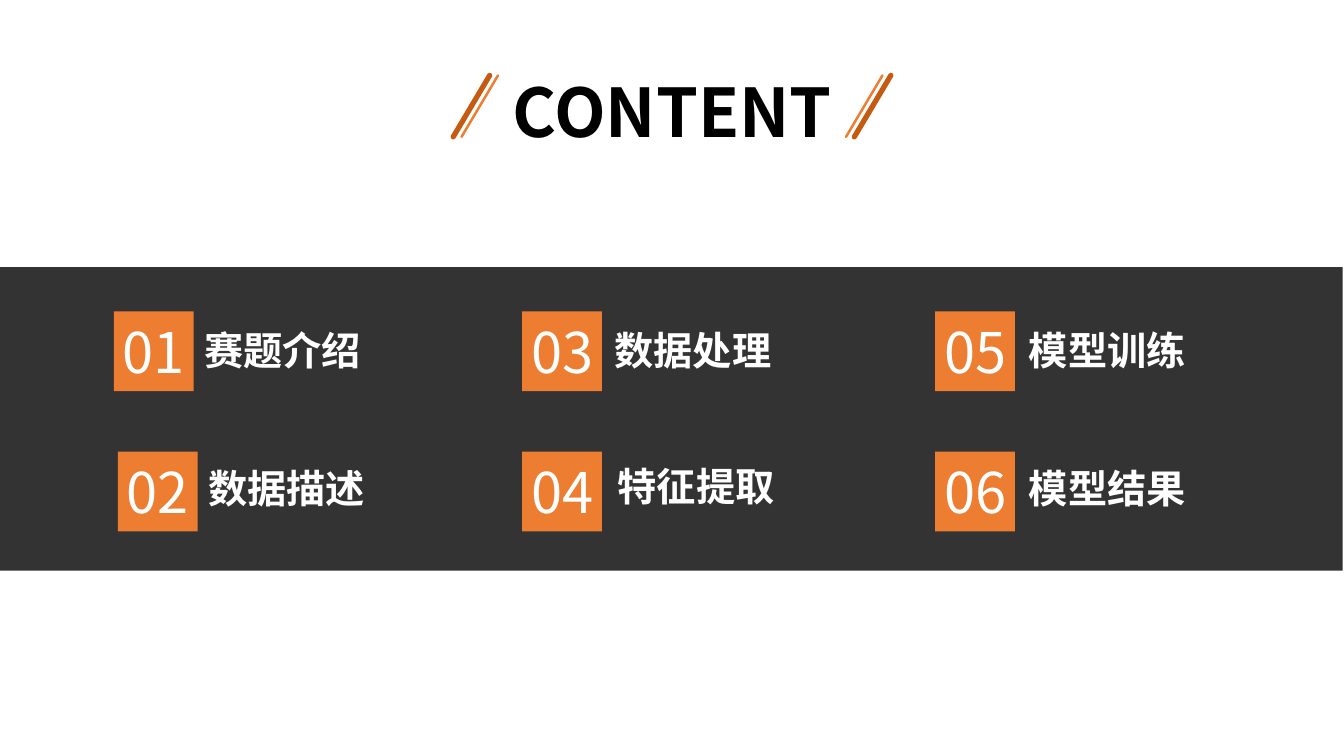
from lxml import etree
from pptx import Presentation
from pptx.dml.color import RGBColor
from pptx.enum import shapes, text
from pptx.oxml.ns import qn
from pptx.util import Cm, Pt

FONT = "Noto Sans CJK SC"
BLACK = RGBColor(0x00, 0x00, 0x00)
WHITE = RGBColor(0xFF, 0xFF, 0xFF)
ORANGE = RGBColor(0xED, 0x7D, 0x31)
RUST = RGBColor(0xC5, 0x5A, 0x11)

SQUARE = 2.01
NUMBER_WIDTH = 2.4
ROW_TOPS = (7.85, 11.38)
# label, square left, label left, label top; filled column by column
TOPICS = (
    ("赛题介绍", 2.87, 4.9, 8.08),
    ("数据描述", 2.97, 5.0, 11.56),
    ("数据处理", 13.16, 15.24, 8.08),
    ("特征提取", 13.16, 15.32, 11.53),
    ("模型训练", 23.57, 25.68, 8.08),
    ("模型结果", 23.57, 25.68, 11.56),
)
# upper end x, colour, width
SLASHES = (
    (12.55, ORANGE, 1.75),
    (22.24, ORANGE, 1.75),
    (22.45, RUST, 3.75),
    (12.34, RUST, 3.75),
)


class Deck:
    def __init__(self):
        self.prs = Presentation()
        self.prs.slide_width, self.prs.slide_height = Cm(33.87), Cm(19.05)
        self.s = self.prs.slides.add_slide(self.prs.slide_layouts[5])

    def set_text(self, sp, words, size, color, bold=False, align=text.PP_ALIGN.LEFT,
                 anchor=text.MSO_ANCHOR.MIDDLE, wrap=True):
        tf = sp.text_frame
        tf.text = words
        tf.word_wrap = wrap
        tf.auto_size = text.MSO_AUTO_SIZE.SHAPE_TO_FIT_TEXT
        tf.vertical_anchor = anchor
        p = tf.paragraphs[0]
        p.alignment = align
        font = p.runs[0].font
        font.name, font.size, font.bold = FONT, Pt(size), bold
        font.color.rgb = color
        ea = etree.SubElement(font._element, qn("a:ea"))
        ea.set("typeface", FONT)

    def title(self, words, x, y, w, h):
        sp = self.s.shapes.title
        sp.left, sp.top, sp.width, sp.height = Cm(x), Cm(y), Cm(w), Cm(h)
        self.set_text(sp, words, 48, BLACK, True, text.PP_ALIGN.CENTER,
                      text.MSO_ANCHOR.TOP, wrap=False)
        sp.text_frame.paragraphs[0].line_spacing = 1.0
        # the band lies behind the title
        self.s.shapes._spTree.append(sp._element)

    def box(self, words, x, y, w, h, size, **style):
        sp = self.s.shapes.add_textbox(Cm(x), Cm(y), Cm(w), Cm(h))
        self.set_text(sp, words, size, WHITE, **style)

    def rect(self, x, y, w, h, color, alpha=None):
        """Add a borderless rectangle; alpha is its opacity in percent."""
        sp = self.s.shapes.add_shape(shapes.MSO_SHAPE.RECTANGLE,
                                     Cm(x), Cm(y), Cm(w), Cm(h))
        sp.shadow.inherit = False
        sp.line.fill.background()
        sp.fill.solid()
        sp.fill.fore_color.rgb = color
        if alpha is not None:
            clr = sp._element.spPr.find(qn("a:solidFill"))[0]
            etree.SubElement(clr, qn("a:alpha")).set("val", str(alpha * 1000))

    def slash(self, x, color, width):
        line = self.s.shapes.add_connector(shapes.MSO_CONNECTOR.STRAIGHT,
                                           Cm(x), Cm(1.9), Cm(x - 0.92), Cm(3.45))
        line.line.color.rgb = color
        line.line.width = Pt(width)
        spPr = line._element.spPr
        spPr.find(qn("a:ln")).set("cap", "rnd")
        etree.SubElement(spPr, qn("a:effectLst"))

    def topic(self, number, label, x, y, label_x, label_y):
        self.box(label, label_x, label_y, 5.33, 1.45, 28, bold=True)
        self.rect(x, y, SQUARE, SQUARE, ORANGE)
        self.box(f"{number:02d}", x + (SQUARE - NUMBER_WIDTH) / 2, y + 0.02,
                 NUMBER_WIDTH, 1.96, 40, align=text.PP_ALIGN.CENTER)


def main():
    deck = Deck()
    deck.rect(-0.15, 6.73, 33.99, 7.65, BLACK, alpha=80)
    deck.title("CONTENT", 12.4, 1.65, 9.09, 2.31)
    for slash in SLASHES:
        deck.slash(*slash)
    for i, (label, x, label_x, label_y) in enumerate(TOPICS):
        deck.topic(i + 1, label, x, ROW_TOPS[i % 2], label_x, label_y)
    deck.prs.save("out.pptx")


if __name__ == "__main__":
    main()
